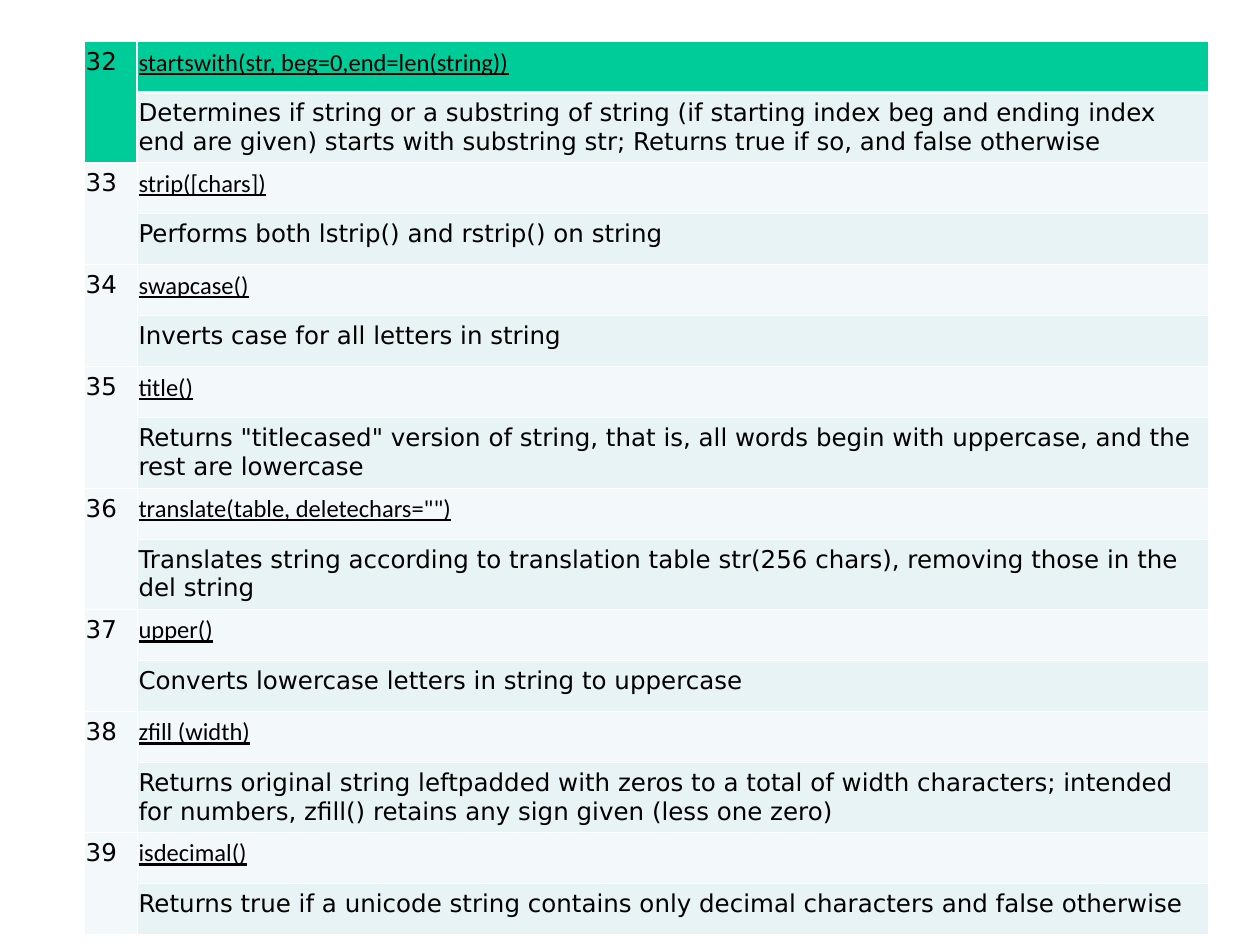
from lxml import etree
from pptx import Presentation
from pptx.dml.color import RGBColor
from pptx.oxml.ns import qn
from pptx.util import Inches, Pt

METHODS = [
    ("32", "startswith(str, beg=0,end=len(string))",
     "Determines if string or a substring of string (if starting index beg and ending "
     "index end are given) starts with substring str; Returns true if so, and false otherwise"),
    ("33", "strip([chars])", "Performs both lstrip() and rstrip() on string"),
    ("34", "swapcase()", "Inverts case for all letters in string"),
    ("35", "title()",
     'Returns "titlecased" version of string, that is, all words begin with uppercase, '
     "and the rest are lowercase"),
    ("36", 'translate(table, deletechars="")',
     "Translates string according to translation table str(256 chars), removing those "
     "in the del string"),
    ("37", "upper()", "Converts lowercase letters in string to uppercase"),
    ("38", "zfill (width)",
     "Returns original string leftpadded with zeros to a total of width characters; "
     "intended for numbers, zfill() retains any sign given (less one zero)"),
    ("39", "isdecimal()",
     "Returns true if a unicode string contains only decimal characters and false otherwise"),
]


def color(value):
    return RGBColor.from_string(value)


class MethodSlide:
    HEADER, LIGHT, TINT = "00CC99", "F3F9FA", "E7F3F4"
    INK, RULE = "000000", "FFFFFF"
    BODY_FONT, NAME_FONT = "DejaVu Sans", "Calibri"
    THIN, THICK = 0.45, 1.47

    def __init__(self, deck):
        self.slide = deck.slides.add_slide(deck.slide_layouts[6])

    def table(self, left, top, widths, heights):
        frame = self.slide.shapes.add_table(
            len(heights), len(widths), Inches(left), Inches(top),
            Inches(sum(widths)), Inches(sum(heights)))
        table = frame.table
        for column, width in zip(table.columns, widths):
            column.width = Inches(width)
        for row, height in zip(table.rows, heights):
            row.height = Inches(height)
        return table

    def borders(self, cell, thick):
        properties = cell._tc.get_or_add_tcPr()
        for side in "LRTB":
            weight = self.THICK if side in thick else self.THIN
            line = etree.SubElement(properties, qn(f"a:ln{side}"), w=str(int(Pt(weight))))
            fill = etree.SubElement(line, qn("a:solidFill"))
            etree.SubElement(fill, qn("a:srgbClr"), val=self.RULE)

    def cell(self, cell, fill, text="", thick="", name=False):
        self.borders(cell, thick)
        cell.fill.solid()
        cell.fill.fore_color.rgb = color(fill)
        cell.margin_left = cell.margin_right = Inches(0.01)
        cell.margin_top = cell.margin_bottom = Inches(0.05)
        if not text:
            return
        span = cell.text_frame.paragraphs[0].add_run()
        span.text = text
        span.font.size = Pt(14)
        span.font.bold = False
        span.font.name = self.NAME_FONT if name else self.BODY_FONT
        span.font.underline = name
        span.font.color.rgb = color(self.INK)


deck = Presentation()
deck.slide_width, deck.slide_height = Inches(10), Inches(7.5)
page = MethodSlide(deck)

# Row heights: descriptions on two lines are taller, the others share the rest
TABLE_HEIGHT, TALL = 6.78, 0.48
wraps = [len(about) > 90 for _, _, about in METHODS]
single = (TABLE_HEIGHT - TALL * sum(wraps)) / (2 * len(METHODS) - sum(wraps))
heights = []
for wrap in wraps:
    heights += [single, TALL if wrap else single]
table = page.table(0.67, 0.33, [0.42, 8.5], heights)

# Each method takes two rows, with its number merged across both
for index, (number, name, about) in enumerate(METHODS):
    top, bottom = 2 * index, 2 * index + 1
    first = index == 0
    fill = page.HEADER if first else page.LIGHT
    above = "T" if index == 1 else ""
    table.cell(top, 0).merge(table.cell(bottom, 0))
    page.cell(table.cell(top, 0), fill, number, "RB" if first else above)
    page.cell(table.cell(bottom, 0), fill, thick="RB" if first else "")
    page.cell(table.cell(top, 1), fill, name, "B" if first else "", name=True)
    page.cell(table.cell(bottom, 1), page.TINT, about, "LT" if first else "")

deck.save("out.pptx")
